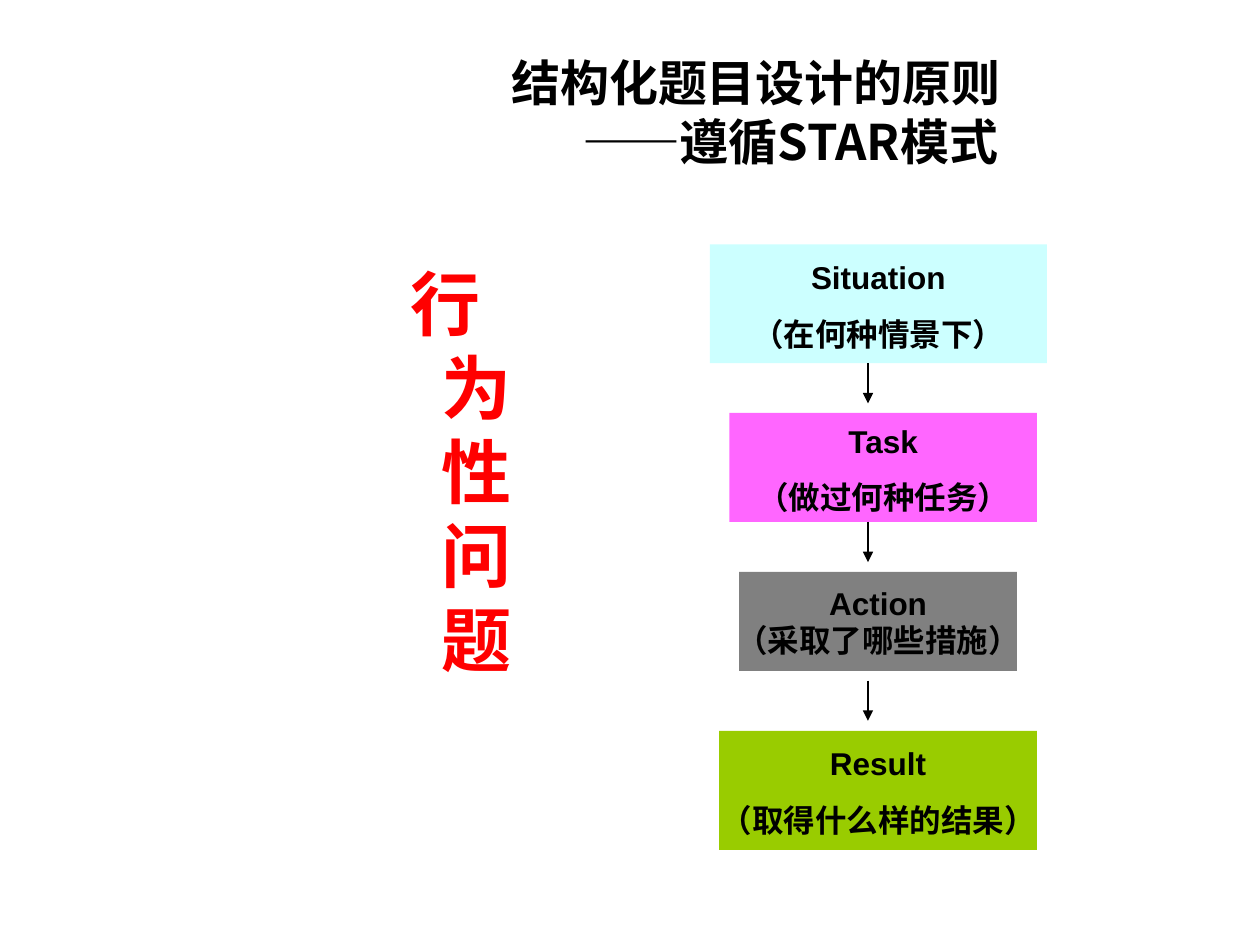
from lxml import etree
from pptx import Presentation
from pptx.dml.color import RGBColor
from pptx.enum.shapes import MSO_CONNECTOR, MSO_SHAPE
from pptx.enum.text import MSO_ANCHOR, MSO_AUTO_SIZE, PP_ALIGN
from pptx.oxml.ns import qn
from pptx.util import Pt

RECTANGLE = MSO_SHAPE.RECTANGLE
STRAIGHT = MSO_CONNECTOR.STRAIGHT
MIDDLE, TOP = MSO_ANCHOR.MIDDLE, MSO_ANCHOR.TOP
CENTER, LEFT = PP_ALIGN.CENTER, PP_ALIGN.LEFT
NO_FIT = MSO_AUTO_SIZE.NONE

HEADING_FONT = "Noto Sans CJK SC"
STEP_FONT = "Arial"
BLACK, RED = "000000", "FF0000"


def color(value):
    return RGBColor.from_string(value)


class StarSlide:
    def __init__(self, slide):
        self.slide = slide

    def place(self, shape, left, top, width, height):
        shape.left, shape.top = Pt(left), Pt(top)
        shape.width, shape.height = Pt(width), Pt(height)

    def style(self, paragraph, size, ink, font, align):
        paragraph.alignment = align
        paragraph.space_before = Pt(0)
        paragraph.font.size = Pt(size)
        paragraph.font.bold = True
        paragraph.font.color.rgb = color(ink)
        paragraph.font.name = font
        defaults = paragraph.font._element
        etree.SubElement(defaults, qn("a:ea")).set("typeface", HEADING_FONT)

    def title(self, lines, box, shift):
        holder = self.slide.shapes.title
        self.place(holder, *box)
        frame = holder.text_frame
        frame.auto_size = NO_FIT
        frame.vertical_anchor = MIDDLE
        frame.margin_right = Pt(7.2 + shift)
        frame.text = "\n".join(lines)
        frame.paragraphs[-1]._p.get_or_add_pPr().set("marL", str(Pt(shift)))
        for paragraph in frame.paragraphs:
            self.style(paragraph, 28, BLACK, HEADING_FONT, CENTER)

    def column(self, text, box):
        holder = self.slide.placeholders[1]
        self.place(holder, *box)
        frame = holder.text_frame
        frame.auto_size = NO_FIT
        frame.vertical_anchor = TOP
        frame.text = text
        paragraph = frame.paragraphs[0]
        properties = paragraph._p.get_or_add_pPr()
        properties.set("marL", str(Pt(27)))
        properties.set("indent", str(Pt(-18)))
        etree.SubElement(properties, qn("a:buNone"))
        self.style(paragraph, 40, RED, HEADING_FONT, LEFT)

    def step(self, lines, box, fill, spacing, margins):
        block = self.slide.shapes.add_shape(RECTANGLE, *map(Pt, box))
        block.shadow.inherit = False
        block.fill.solid()
        block.fill.fore_color.rgb = color(fill)
        block.line.fill.background()
        frame = block.text_frame
        frame.word_wrap = False
        frame.vertical_anchor = MIDDLE
        frame.margin_top, frame.margin_bottom = map(Pt, margins)
        frame.text = "\n".join(lines)
        for paragraph in frame.paragraphs:
            paragraph.line_spacing = spacing
            self.style(paragraph, 18, BLACK, STEP_FONT, CENTER)

    def arrow(self, x, top, length):
        link = self.slide.shapes.add_connector(
            STRAIGHT, Pt(x), Pt(top), Pt(x), Pt(top + length))
        link.line.color.rgb = color(BLACK)
        link.line.width = Pt(0.75)
        outline = link.line._get_or_add_ln()
        etree.SubElement(outline, qn("a:tailEnd")).set("type", "triangle")
        etree.SubElement(link._element.spPr, qn("a:effectLst"))


def main():
    deck = Presentation()
    deck.slide_width, deck.slide_height = Pt(720), Pt(540)
    star = StarSlide(deck.slides.add_slide(deck.slide_layouts[1]))

    star.title(["结构化题目设计的原则", "——遵循STAR模式"],
               (203, 26, 497, 75.6), 39)
    star.column("行为性问题", (218.2, 145.4, 73.4, 339))

    loose, tight = (1.5, (0, 9.2)), (1.0, (3.6, 3.6))
    steps = [
        ("Situation", "（在何种情景下）", (405.6, 139.7, 192.7, 67.8), "CCFFFF", loose),
        ("Task", "（做过何种任务）", (416.8, 236, 175.8, 62.3), "FF66FF", loose),
        ("Action", "（采取了哪些措施）", (422.4, 326.8, 158.8, 56.6), "808080", tight),
        ("Result", "（取得什么样的结果）", (411, 417.6, 181.6, 68), "99CC00", loose),
    ]
    for name, question, box, fill, (spacing, margins) in steps:
        star.step([name, question], box, fill, spacing, margins)
    for gap in range(len(steps) - 1):
        star.arrow(496, 207.5 + gap * 90.7, 23)

    deck.save("out.pptx")


if __name__ == "__main__":
    main()
